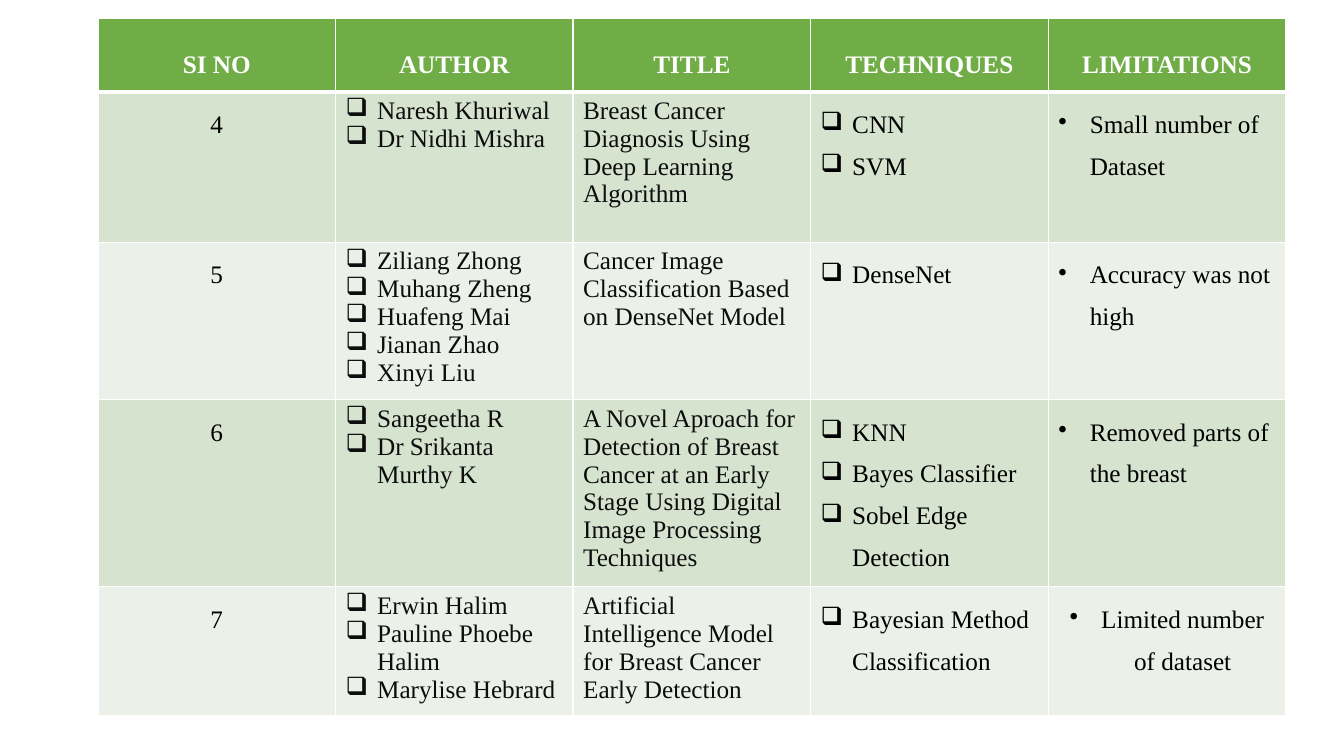
from lxml import etree
from pptx import Presentation
from pptx.dml.color import RGBColor
from pptx.enum.text import PP_ALIGN
from pptx.oxml.ns import qn
from pptx.util import Pt

CENTER, LEFT = PP_ALIGN.CENTER, PP_ALIGN.LEFT
COLORS = {"header": "70AD47", "odd": "D5E3CF", "even": "EBF1E9",
          "white": "FFFFFF", "black": "000000", "ink": "0D0D0D"}
HANGING = Pt(22.5)
COLUMN_WIDTH = 169.7
ROW_HEIGHTS = [52.5, 107.5, 112.5, 133.7, 91.7]

HEADINGS = ["SI NO", "AUTHOR", "TITLE", "TECHNIQUES", "LIMITATIONS"]
STUDIES = [
    (["4"], ["Naresh Khuriwal", "Dr Nidhi Mishra"],
     ["Breast Cancer Diagnosis Using Deep Learning Algorithm"],
     ["CNN", "SVM"], ["Small number of Dataset"]),
    (["5"], ["Ziliang Zhong", "Muhang Zheng", "Huafeng Mai", "Jianan Zhao", "Xinyi Liu"],
     ["Cancer Image Classification Based on DenseNet Model"],
     ["DenseNet"], ["Accuracy was not high"]),
    (["6"], ["Sangeetha R", "Dr Srikanta Murthy K"],
     ["A Novel Aproach for Detection of Breast Cancer at an Early Stage "
      "Using Digital Image Processing Techniques"],
     ["KNN", "Bayes Classifier", "Sobel Edge Detection"], ["Removed parts of the breast"]),
    (["7"], ["Erwin Halim", "Pauline Phoebe Halim", "Marylise Hebrard"],
     ["Artificial Intelligence Model for Breast Cancer Early Detection"],
     ["Bayesian Method Classification"], ["Limited number of dataset"]),
]
# One entry per column: alignment, line spacing, bullet, text colour
COLUMN_STYLES = [
    (CENTER, 1.5, None, "black"),
    (LEFT, 1.0, "❑", "ink"),
    (LEFT, 1.0, None, "ink"),
    (LEFT, 1.5, "❑", "black"),
    (LEFT, 1.5, "•", "black"),
]
HEADER_STYLE = (CENTER, 2.0, None, "white")


def format_cell(cell, fill, bottom_width):
    """Give the cell white borders and a solid fill."""
    properties = cell._tc.get_or_add_tcPr()
    for side, width in (("L", 1), ("R", 1), ("T", 1), ("B", bottom_width)):
        line = etree.SubElement(properties, qn(f"a:ln{side}"), w=str(Pt(width)))
        solid = etree.SubElement(line, qn("a:solidFill"))
        etree.SubElement(solid, qn("a:srgbClr"), val=COLORS["white"])
    cell.fill.solid()
    cell.fill.fore_color.rgb = RGBColor.from_string(COLORS[fill])


def write_cell(cell, lines, style, bold):
    """Write one paragraph per line, with a hanging bullet if the style has one."""
    alignment, spacing, bullet, color = style
    cell.text = "\n".join(lines)
    for paragraph in cell.text_frame.paragraphs:
        paragraph.alignment = alignment
        paragraph.line_spacing = spacing
        font = paragraph.runs[0].font
        for name, value in {"name": "Times New Roman", "size": Pt(18), "bold": bold}.items():
            setattr(font, name, value)
        font.color.rgb = RGBColor.from_string(COLORS[color])
        if bullet:
            properties = paragraph._p.get_or_add_pPr()
            properties.set("marL", str(HANGING))
            properties.set("indent", str(-HANGING))
            etree.SubElement(properties, qn("a:buChar"), char=bullet)


presentation = Presentation()
presentation.slide_width, presentation.slide_height = Pt(960), Pt(540)
slide = presentation.slides.add_slide(presentation.slide_layouts[6])

survey = slide.shapes.add_table(
    len(ROW_HEIGHTS), len(HEADINGS), Pt(70), Pt(13),
    Pt(COLUMN_WIDTH * len(HEADINGS)), Pt(sum(ROW_HEIGHTS))).table
for column in survey.columns:
    column.width = Pt(COLUMN_WIDTH)
for row, height in zip(survey.rows, ROW_HEIGHTS):
    row.height = Pt(height)

for index, heading in enumerate(HEADINGS):
    header_cell = survey.cell(0, index)
    format_cell(header_cell, "header", 3)
    write_cell(header_cell, [heading], HEADER_STYLE, True)

for number, study in enumerate(STUDIES, start=1):
    for index, (lines, style) in enumerate(zip(study, COLUMN_STYLES)):
        study_cell = survey.cell(number, index)
        format_cell(study_cell, "odd" if number % 2 else "even", 1)
        write_cell(study_cell, lines, style, False)

# The last limitation is centred, unlike those above it
survey.cell(len(STUDIES), 4).text_frame.paragraphs[0].alignment = CENTER

presentation.save("out.pptx")
